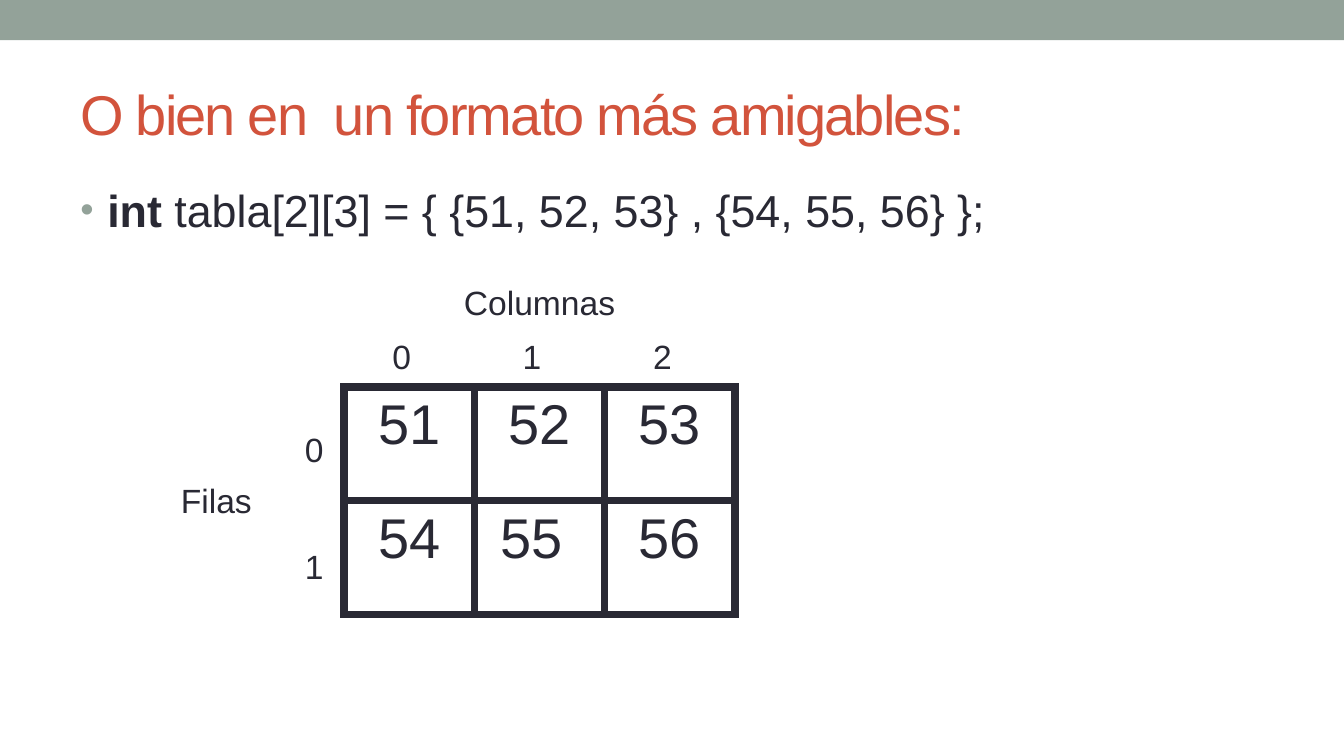
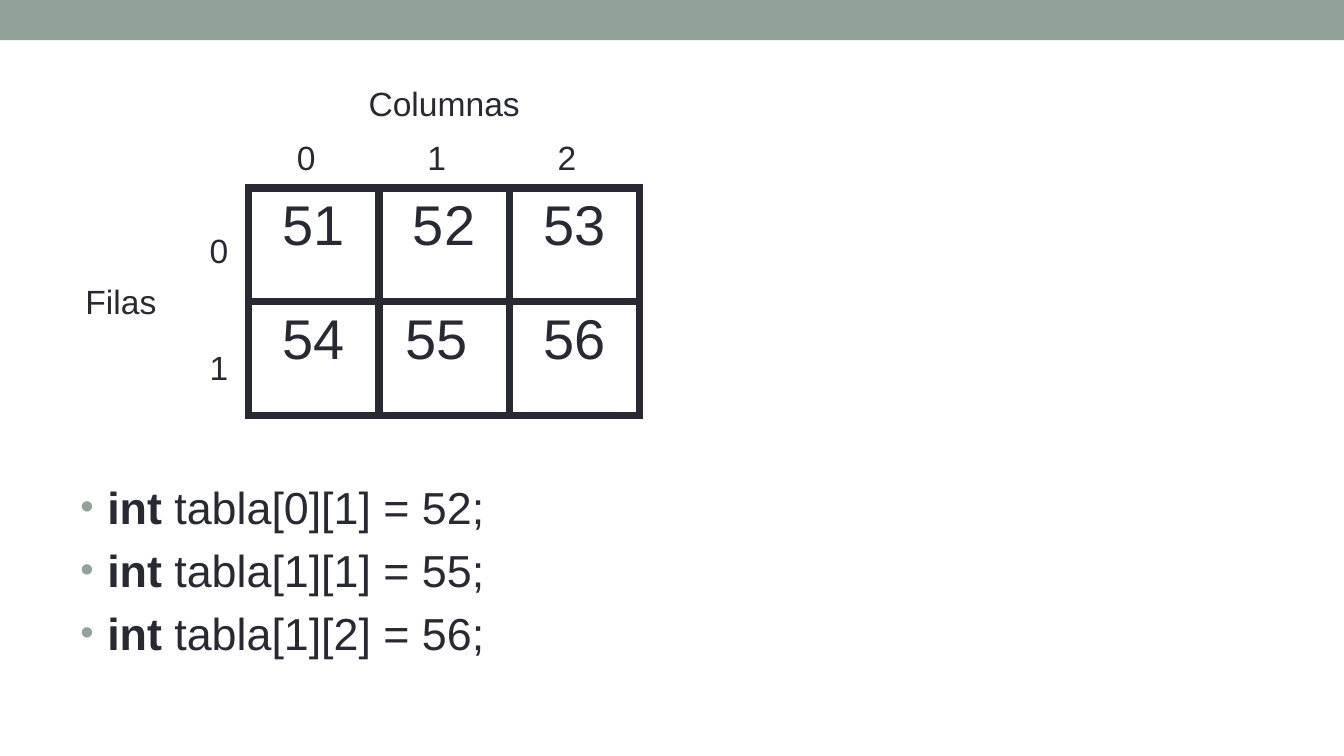
import pptx
import pptx.dml.color
import pptx.enum.shapes
import pptx.enum.text
import pptx.oxml
import pptx.oxml.ns
import pptx.util
from lxml import etree

Pt = pptx.util.Pt
RGBColor = pptx.dml.color.RGBColor
ALIGN = pptx.enum.text.PP_ALIGN
ANCHOR = pptx.enum.text.MSO_ANCHOR
qn = pptx.oxml.ns.qn

# Shared look
SAGE = RGBColor(0x93, 0xA2, 0x99)
RUST = RGBColor(0xD2, 0x53, 0x3C)
INK = RGBColor(0x29, 0x29, 0x34)
FONT = "Arial"
SLIDE_WIDTH, SLIDE_HEIGHT = 720, 405
BAND_HEIGHT = 21.5
MARGIN = 36
BODY_WIDTH = SLIDE_WIDTH - 2 * MARGIN

# Matrix shown on both slides
VALUES = [["51", "52", "53"], ["54", "55 ", "56"]]
COLUMN_WIDTH, ROW_HEIGHT = 69.84, 60.84
BORDER = 4.5
LABEL_HEIGHT = 28.8
LABEL_LINE = 20.7


def add_span(para, text, size=18, color=INK, bold=False, tracking=0):
    """Append formatted text to a paragraph."""
    span = para.add_run()
    span.text = text
    span.font.name = FONT
    span.font.size = Pt(size)
    span.font.bold = bold
    span.font.color.rgb = color
    if tracking:
        span._r.get_or_add_rPr().set("spc", str(tracking * 100))


def add_box(page, left, top, width, height, anchor=ANCHOR.TOP):
    box = page.shapes.add_textbox(Pt(left), Pt(top), Pt(width), Pt(height))
    box.text_frame.word_wrap = True
    box.text_frame.vertical_anchor = anchor
    return box.text_frame


def add_label(page, text, left, top, width, align=ALIGN.CENTER):
    para = add_box(page, left, top, width, LABEL_HEIGHT).paragraphs[0]
    para.alignment = align
    add_span(para, text)
    return para


def add_page(deck):
    """Start a blank page with the band across its top."""
    page = deck.slides.add_slide(deck.slide_layouts[6])
    band = page.shapes.add_shape(pptx.enum.shapes.MSO_SHAPE.RECTANGLE,
                                 0, 0, Pt(SLIDE_WIDTH), Pt(BAND_HEIGHT))
    band.shadow.inherit = False
    band.fill.solid()
    band.fill.fore_color.rgb = SAGE
    band.line.fill.background()
    return page


def add_title(page, text):
    frame = add_box(page, MARGIN, 31.7, BODY_WIDTH, 58.3, ANCHOR.MIDDLE)
    add_span(frame.paragraphs[0], text, size=30, color=RUST, tracking=-1)


def set_bullet(para):
    """Give a paragraph a hanging round bullet and proportional spacing."""
    props = para._p.get_or_add_pPr()
    props.set("marL", str(Pt(14.4)))
    props.set("indent", str(-Pt(14.4)))
    before = etree.SubElement(props, qn("a:spcBef"))
    etree.SubElement(before, qn("a:spcPct"), val="20000")
    color = etree.SubElement(props, qn("a:buClr"))
    etree.SubElement(color, qn("a:srgbClr"), val=str(SAGE))
    etree.SubElement(props, qn("a:buSzPct"), val="85000")
    etree.SubElement(props, qn("a:buFont"), typeface=FONT)
    etree.SubElement(props, qn("a:buChar"), char="•")


def add_declarations(page, top, height, declarations):
    """List int declarations as bullets, with the type in bold."""
    frame = add_box(page, MARGIN, top, BODY_WIDTH, height)
    for index, declaration in enumerate(declarations):
        para = frame.add_paragraph() if index else frame.paragraphs[0]
        set_bullet(para)
        add_span(para, "int", size=24, bold=True)
        add_span(para, " " + declaration, size=24)


def set_borders(cell):
    props = cell._tc.get_or_add_tcPr()
    for side in ("lnL", "lnR", "lnT", "lnB"):
        line = etree.SubElement(props, qn("a:" + side), w=str(Pt(BORDER)))
        fill = etree.SubElement(line, qn("a:solidFill"))
        etree.SubElement(fill, qn("a:srgbClr"), val=str(INK))


def add_grid(page, left, top):
    rows, columns = len(VALUES), len(VALUES[0])
    table = page.shapes.add_table(
        rows, columns, Pt(left), Pt(top),
        Pt(columns * COLUMN_WIDTH), Pt(rows * ROW_HEIGHT)).table
    table.first_row = False
    table.horz_banding = False
    for column in table.columns:
        column.width = Pt(COLUMN_WIDTH)
    for row, values in zip(table.rows, VALUES):
        row.height = Pt(ROW_HEIGHT)
        for cell, value in zip(row.cells, values):
            set_borders(cell)
            cell.fill.background()
            para = cell.text_frame.paragraphs[0]
            para.alignment = ALIGN.CENTER
            add_span(para, value, size=30)


def add_matrix(page, left, top):
    """Draw the value grid with its row and column labels."""
    add_grid(page, left, top)
    add_label(page, "Filas", left - 108, top + 46, 79.2)
    add_label(page, "Columnas", left + 39.6, top - 60, 130.3)

    # Column numbers, on one centred tab stop per column
    numbers = add_label(page, "\t0\t1\t2", left - 5.8, top - 31, 221,
                        align=ALIGN.LEFT)
    stops = etree.SubElement(numbers._p.get_or_add_pPr(), qn("a:tabLst"))
    for index in range(len(VALUES[0])):
        position = Pt(29.6 + index * COLUMN_WIDTH)
        etree.SubElement(stops, qn("a:tab"), pos=str(position), algn="ctr")

    # Row numbers, two lines apart
    frame = add_box(page, left - 28, top - 2, 22.3, 116.6)
    frame.margin_top = Pt(3.6 + LABEL_LINE)
    add_span(frame.paragraphs[0], "0")
    para = frame.add_paragraph()
    para.space_before = Pt(2 * LABEL_LINE)
    add_span(para, "1")


def main():
    deck = pptx.Presentation()
    deck.slide_width = Pt(SLIDE_WIDTH)
    deck.slide_height = Pt(SLIDE_HEIGHT)

    # Slide 1: nested initialiser
    page = add_page(deck)
    add_title(page, "O bien en  un formato más amigables:")
    add_declarations(page, 94.5, 288, [
        "tabla[2][3] = { {51, 52, 53} , {54, 55, 56} };"])
    add_matrix(page, 184.3, 207.4)

    # Slide 2: access to single elements
    page = add_page(deck)
    add_declarations(page, 253.5, 129, [
        "tabla[0][1] = 52;", "tabla[1][1] = 55;", "tabla[1][2] = 56;"])
    add_matrix(page, 133.2, 100.8)

    deck.save("out.pptx")


main()
